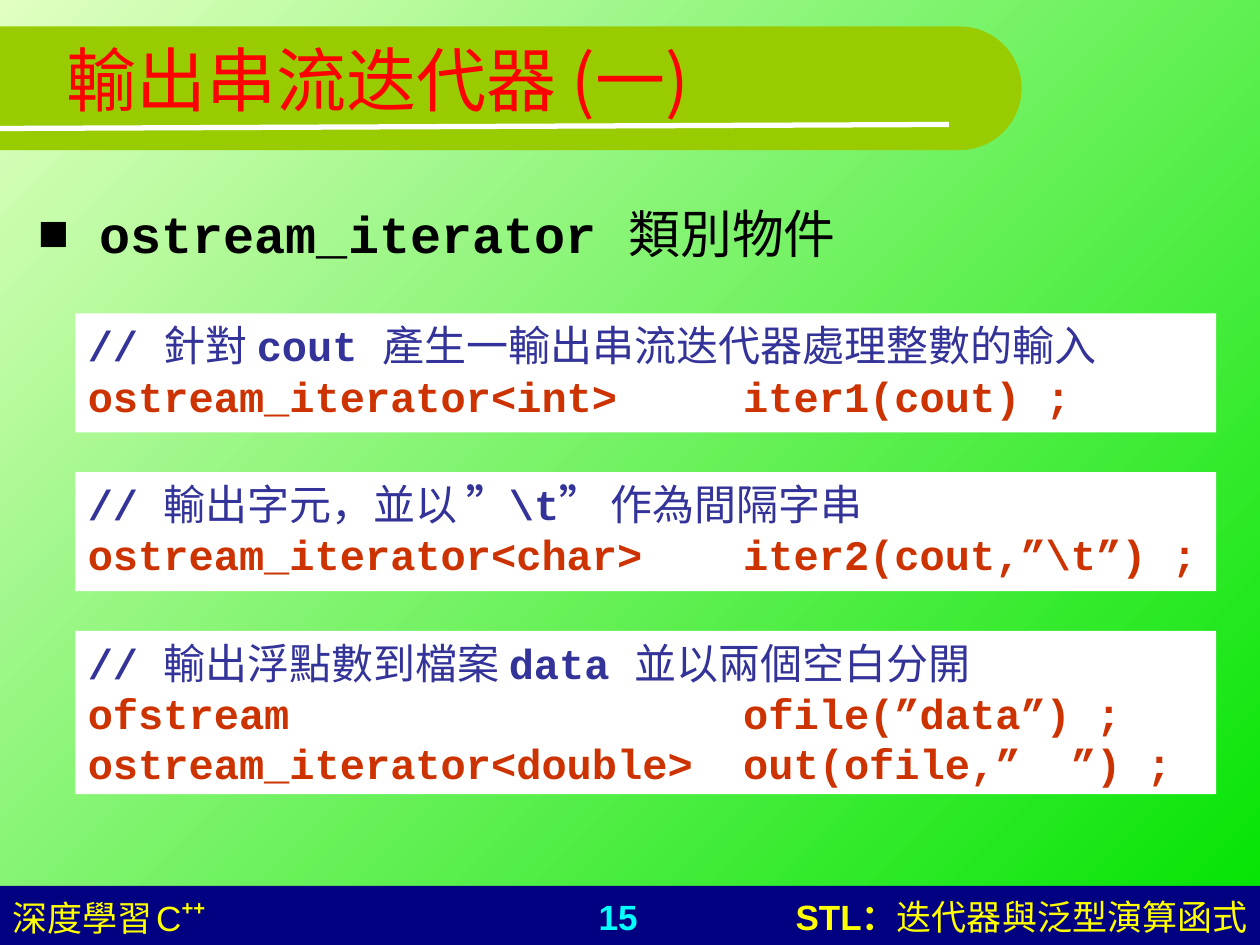
from math import cos, pi, sin

from lxml.etree import SubElement
from pptx import Presentation
from pptx.dml.color import RGBColor
from pptx.enum.shapes import MSO_CONNECTOR, MSO_SHAPE
from pptx.enum.text import MSO_ANCHOR, MSO_AUTO_SIZE, PP_ALIGN
from pptx.oxml.ns import qn
from pptx.util import Cm, Pt

SANS, MONO, CJK = "Arial", "Courier New", "Noto Sans CJK SC"
RED, YELLOW, CYAN, WHITE, BLACK = "FF0000", "FFFF00", "00FFFF", "FFFFFF", "000000"
COMMENT, CODE = "333399", "CC3300"

# Runs are (text, bold)
TITLE = [("輸出串流迭代器 ", SANS), ("(", CJK), ("一", SANS), (")", CJK)]
TOPIC = [("ostream_iterator ", True), ("類別物件", False)]
EXAMPLES = [
    ([("// ", True), ("針對 ", False), ("cout ", True),
      ("產生一輸出串流迭代器處理整數的輸入", False)],
     ["ostream_iterator<int>     iter1(cout) ;"]),
    ([("// ", True), ("輸出字元，並以", False), (" ”\\t” ", True), ("作為間隔字串", False)],
     ["ostream_iterator<char>    iter2(cout,”\\t”) ;"]),
    ([("// ", True), ("輸出浮點數到檔案 ", False), ("data ", True),
      ("並以兩個空白分開", False)],
     ["ofstream                  ofile(”data”) ;",
      "ostream_iterator<double>  out(ofile,”  ”) ;"]),
]
# Left, width, alignment, colour, runs
FOOTERS = [
    (0, 8.5, PP_ALIGN.LEFT, YELLOW, [("深度學習", False), (" ", False), ("C", False), ("++", True)]),
    (9.5, 5.92, PP_ALIGN.CENTER, CYAN, [("15", True)]),
    (14.3, 11.1, PP_ALIGN.RIGHT, YELLOW, [("STL：", True), ("迭代器與泛型演算函式", False)]),
]


def rgb(hex_code):
    return RGBColor.from_string(hex_code)


def add_runs(paragraph, runs, font, size, color):
    for text, bold in runs:
        run = paragraph.add_run()
        run.text = text
        run.font.name = font
        run.font.size = Pt(size)
        run.font.bold = bold
        run.font.color.rgb = rgb(color)


def paint(shape, color):
    shape.fill.solid()
    shape.fill.fore_color.rgb = rgb(color)
    shape.line.fill.background()
    shape.shadow.inherit = False


def place(shape, left, top, width, height):
    shape.left, shape.top = Cm(left), Cm(top)
    shape.width, shape.height = Cm(width), Cm(height)


def add_box(slide, left, top, width, height, color):
    box = slide.shapes.add_shape(
        MSO_SHAPE.RECTANGLE, Cm(left), Cm(top), Cm(width), Cm(height))
    paint(box, color)
    return box


def add_banner(slide):
    """Green band with a half-round right end, underlined in white."""
    radius, center_x, center_y = 1.245, 19.35, 1.78
    steps = 48
    arc = [(center_x + radius * sin(pi * i / steps), center_y - radius * cos(pi * i / steps))
           for i in range(steps + 1)]
    outline = slide.shapes.build_freeform(0, Cm(center_y - radius))
    outline.add_line_segments(
        [(Cm(x), Cm(y)) for x, y in arc] + [(0, Cm(center_y + radius))], close=True)
    paint(outline.convert_to_shape(), "99CC00")

    underline = slide.shapes.add_connector(
        MSO_CONNECTOR.STRAIGHT, 0, Cm(2.59), Cm(19.13), Cm(2.51))
    underline.line.color.rgb = rgb(WHITE)
    underline.line.width = Pt(3)
    SubElement(underline._element.spPr, qn("a:effectLst"))


def add_footers(slide):
    add_box(slide, 0, 17.86, 25.4, 1.19, "000080")
    for left, width, alignment, color, runs in FOOTERS:
        footer = slide.shapes.add_textbox(Cm(left), Cm(17.93), Cm(width), Cm(1.12))
        footer.text_frame.word_wrap = True
        paragraph = footer.text_frame.paragraphs[0]
        paragraph.alignment = alignment
        add_runs(paragraph, runs, SANS, 20, color)
        for run in paragraph.runs:
            if run.text == " ":
                run.font.size = Pt(9)
            elif run.text == "++":
                run._r.get_or_add_rPr().set("baseline", "46000")


def fill_title(title):
    place(title, 1.09, 0, 22.86, 3.18)
    frame = title.text_frame
    frame.auto_size = MSO_AUTO_SIZE.NONE
    frame.vertical_anchor = MSO_ANCHOR.MIDDLE
    paragraph = frame.paragraphs[0]
    paragraph.alignment = PP_ALIGN.LEFT
    for text, font in TITLE:
        add_runs(paragraph, [(text, False)], font, 40, RED)


def fill_topic(body):
    place(body, 0.51, 3.94, 22.86, 1.6)
    body.text_frame.auto_size = MSO_AUTO_SIZE.NONE
    paragraph = body.text_frame.paragraphs[0]
    properties = paragraph._p.get_or_add_pPr()
    properties.set("marL", str(Cm(1.24)))
    properties.set("indent", str(-Cm(1.24)))
    bullet_color = SubElement(properties, qn("a:buClr"))
    SubElement(bullet_color, qn("a:srgbClr"), val=BLACK)
    SubElement(properties, qn("a:buFont"), typeface=SANS)
    SubElement(properties, qn("a:buChar"), char="■")
    paragraph.space_before = Pt(0)
    add_runs(paragraph, TOPIC, MONO, 29.6, BLACK)


def add_examples(slide):
    top, gap, line_height, padding = 6.32, 0.8, 0.89, 0.62
    for comment, code_lines in EXAMPLES:
        height = padding + line_height * (1 + len(code_lines))
        box = add_box(slide, 1.52, top, 23, height, WHITE)
        frame = box.text_frame
        frame.word_wrap = False
        frame.vertical_anchor = MSO_ANCHOR.TOP
        add_runs(frame.paragraphs[0], comment, MONO, 24, COMMENT)
        for code in code_lines:
            add_runs(frame.add_paragraph(), [(code, True)], MONO, 24, CODE)
        for paragraph in frame.paragraphs:
            paragraph.alignment = PP_ALIGN.LEFT
        top += height + gap


def main():
    deck = Presentation()
    deck.slide_width, deck.slide_height = Cm(25.4), Cm(19.05)
    slide = deck.slides.add_slide(deck.slide_layouts[1])
    background = slide.background.fill
    background.gradient()
    background.gradient_angle = 315
    for stop, color in zip(background.gradient_stops, ("E0FFC1", "00E400")):
        stop.color.rgb = rgb(color)

    title, body = slide.placeholders
    add_banner(slide)
    add_footers(slide)
    add_examples(slide)
    fill_title(title)
    fill_topic(body)
    # The title and body lie in front of the banner
    for placeholder in (title, body):
        slide.shapes._spTree.append(placeholder._element)
    deck.save("out.pptx")


if __name__ == "__main__":
    main()
